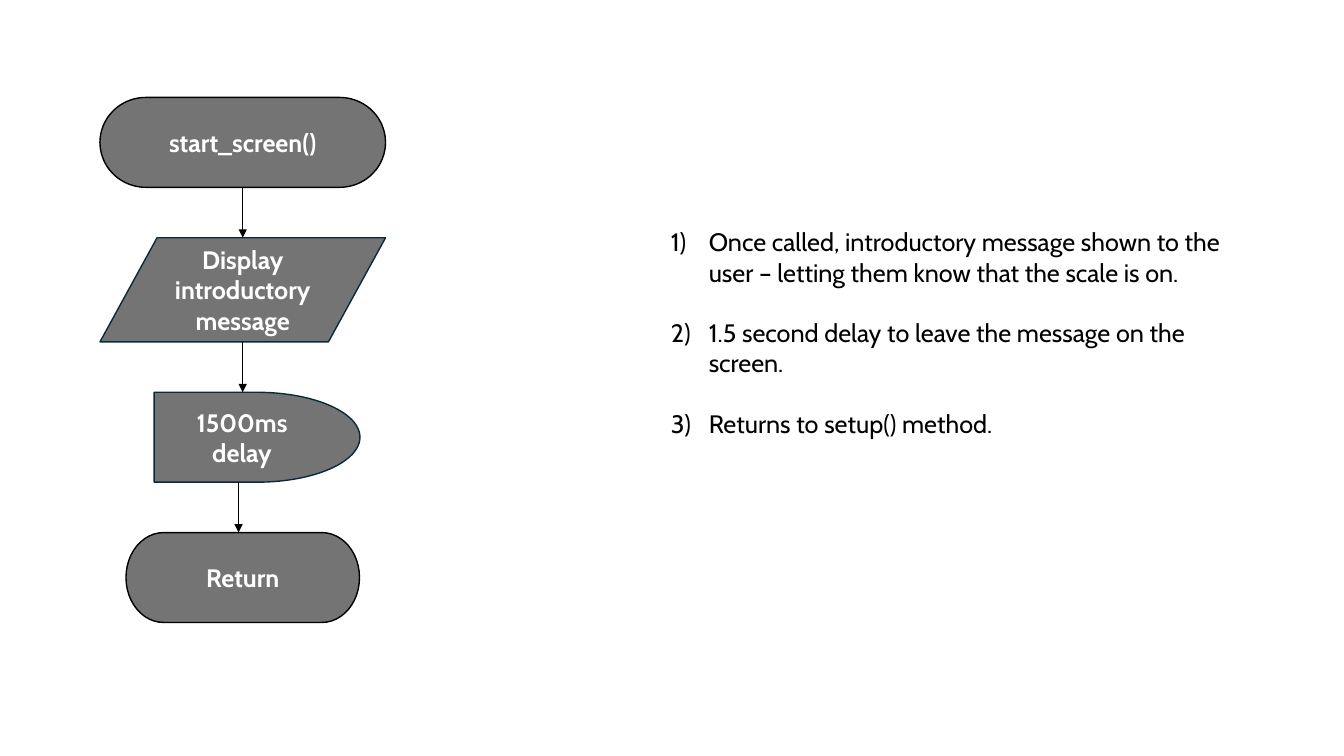
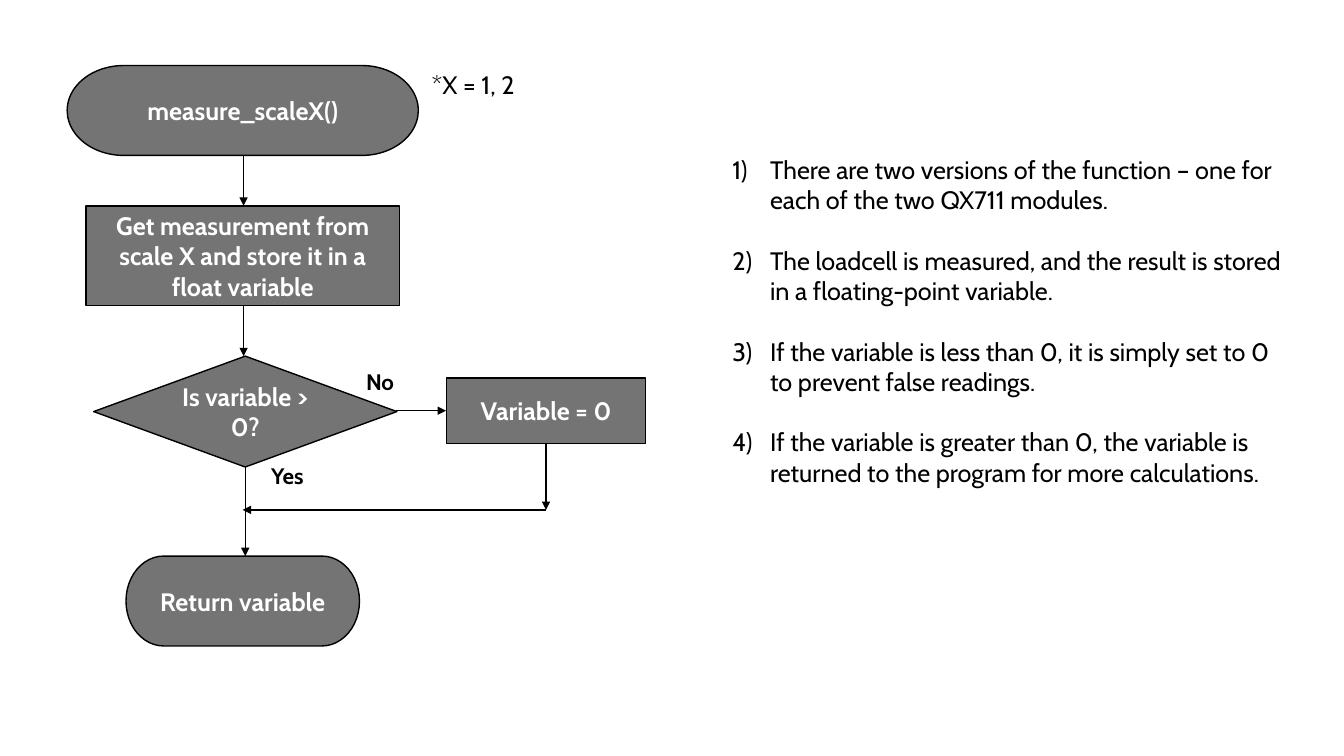
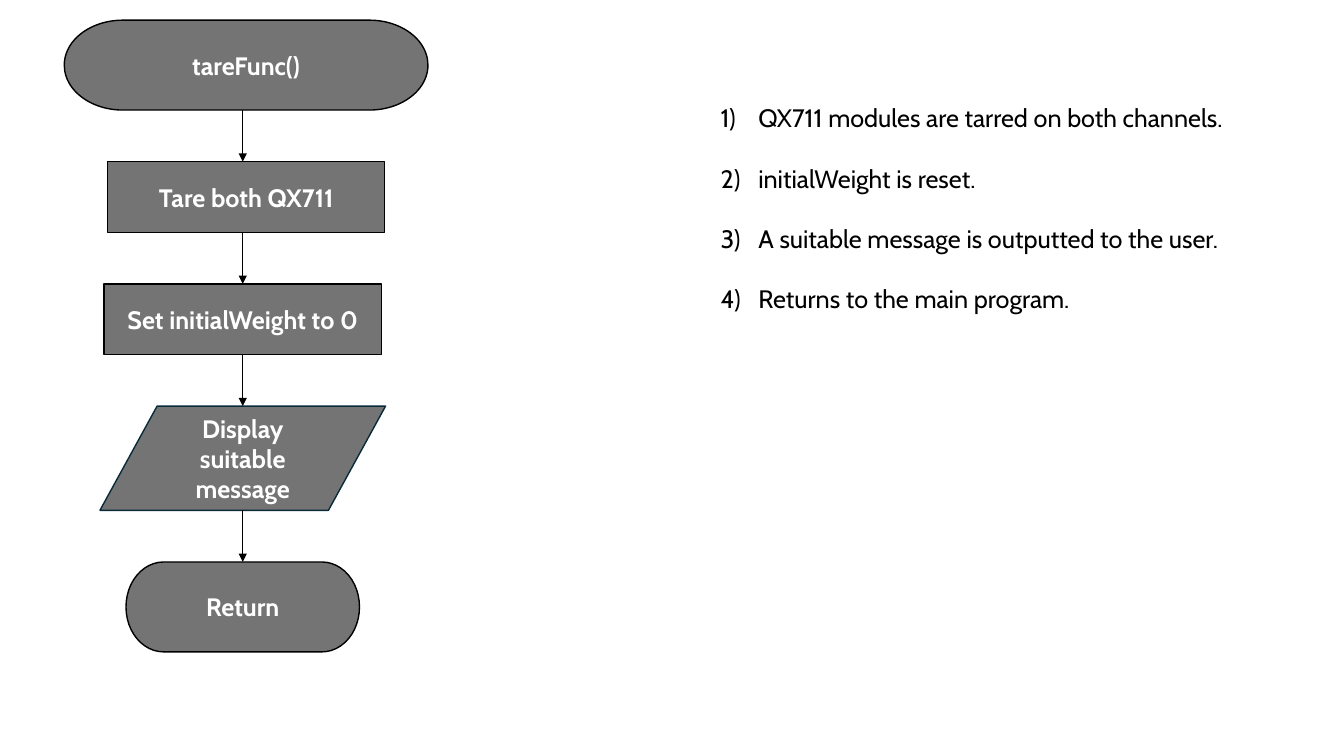
"""Build three flowchart slides with numbered notes on a 160 by 90 grid."""
import dataclasses
import itertools

import lxml.etree
import pptx
import pptx.dml.color
import pptx.enum.shapes
import pptx.enum.text
import pptx.oxml.ns
import pptx.slide
import pptx.text.text
import pptx.util

KIND = pptx.enum.shapes.MSO_SHAPE
ALIGN = pptx.enum.text.PP_ALIGN
WIDE, HIGH = pptx.util.Inches(13.33), pptx.util.Inches(7.5)
COLS, ROWS = 160, 90
FACE = "Cabin"
GREY, BLACK, WHITE, NAVY = "747474", "000000", "FFFFFF", "092A39"
AXIS = 28.9
HANG = 4.5
ROW = 10.7


@dataclasses.dataclass(frozen=True)
class Step:
    """One flowchart box, centred on mid, with its way out below."""
    kind: KIND
    text: str
    wide: float
    high: float = ROW
    mid: float = AXIS
    out: float = AXIS
    edge: str = BLACK
    gap: float = 0


@dataclasses.dataclass(frozen=True)
class Label:
    """A short text beside the chart."""
    text: str
    left: float
    top: float
    wide: float
    size: int = 16
    bold: bool = True


@dataclasses.dataclass(frozen=True)
class Arrow:
    """A straight arrow between two grid points."""
    x: float
    y: float
    to_x: float
    to_y: float


@dataclasses.dataclass(frozen=True)
class Page:
    """A column of steps and the notes that explain it."""
    top: float
    gap: float
    steps: tuple[Step, ...]
    left: float
    head: float
    notes: tuple[str, ...]
    sides: tuple[tuple[Step, float], ...] = ()
    links: tuple[Arrow, ...] = ()
    labels: tuple[Label, ...] = ()


PAGES = (
    Page(11.6, 6, (
        Step(KIND.FLOWCHART_TERMINATOR, "start_screen()", 34),
        Step(KIND.FLOWCHART_DATA, "Display introductory message", 34, 12.4,
             edge=NAVY),
        Step(KIND.FLOWCHART_DELAY, "1500ms delay", 24.5, mid=30.6, out=28.4,
             edge=NAVY),
        Step(KIND.FLOWCHART_TERMINATOR, "Return", 27.8),
    ), 78.7, 26.4, (
        "Once called, introductory message shown to the user – letting them "
        "know that the scale is on.",
        "1.5 second delay to leave the message on the screen.",
        "Returns to setup() method.",
    )),
    Page(7.8, 6, (
        Step(KIND.FLOWCHART_TERMINATOR, "measure_scaleX()", 41.8, out=29),
        Step(KIND.RECTANGLE, "Get measurement from scale X and store it in a "
             "float variable", 37.3, 11.9, out=29),
        Step(KIND.FLOWCHART_DECISION, "Is variable > 0?", 36.1, 13.2, 29.2,
             29.2, gap=10.6),
        Step(KIND.FLOWCHART_TERMINATOR, "Return variable", 27.8),
    ), 86, 17.8, (
        "There are two versions of the function – one for each of the two "
        "QX711 modules.",
        "The loadcell is measured, and the result is stored in a "
        "floating-point variable.",
        "If the variable is less than 0, it is simply set to 0 to prevent "
        "false readings.",
        "If the variable is greater than 0, the variable is returned to the "
        "program for more calculations.",
    ), sides=(
        (Step(KIND.RECTANGLE, "Variable = 0", 23.7, 7.8, 65), 45),
    ), links=(
        Arrow(47.2, 48.9, 53.1, 48.9),
        Arrow(65, 52.8, 65, 60.7),
        Arrow(65, 60.7, AXIS, 60.7),
    ), labels=(
        Label("Yes", 31.1, 54.4, 8),
        Label("No", 42.4, 43.2, 8.3),
        Label("*X = 1, 2", 50.2, 7.6, 13.7, 18, False),
    )),
    Page(2.4, 6.15, (
        Step(KIND.FLOWCHART_TERMINATOR, "tareFunc()", 43.3, mid=29.3),
        Step(KIND.RECTANGLE, "Tare both QX711", 33, 8.4, 29.3),
        Step(KIND.RECTANGLE, "Set initialWeight to 0", 33, 8.4),
        Step(KIND.FLOWCHART_DATA, "Display suitable message", 34, 12.4,
             edge=NAVY),
        Step(KIND.FLOWCHART_TERMINATOR, "Return", 27.8),
    ), 84.6, 11.6, (
        "QX711 modules are tarred on both channels.",
        "initialWeight is reset.",
        "A suitable message is outputted to the user.",
        "Returns to the main program.",
    )),
)


def across(cols: float) -> int:
    return round(WIDE * cols / COLS)


def down(rows: float) -> int:
    return round(HIGH * rows / ROWS)


def hue(code: str) -> pptx.dml.color.RGBColor:
    return pptx.dml.color.RGBColor.from_string(code)


def write(para: pptx.text.text._Paragraph, text: str, ink: str = BLACK,
          size: int = 18, bold: bool = False) -> None:
    run = para.add_run()
    run.text = text
    run.font.name = FACE
    run.font.size = pptx.util.Pt(size)
    run.font.bold = bold
    run.font.color.rgb = hue(ink)


def draw_step(slide: pptx.slide.Slide, step: Step, top: float) -> None:
    shape = slide.shapes.add_shape(
        step.kind, across(step.mid - step.wide / 2), down(top),
        across(step.wide), down(step.high))
    shape.shadow.inherit = False
    shape.fill.solid()
    shape.fill.fore_color.rgb = hue(GREY)
    shape.line.color.rgb = hue(step.edge)
    shape.line.width = pptx.util.Pt(1)
    frame = shape.text_frame
    frame.vertical_anchor = pptx.enum.text.MSO_ANCHOR.MIDDLE
    para = frame.paragraphs[0]
    para.alignment = ALIGN.CENTER
    write(para, step.text, WHITE, bold=True)


def draw_arrow(slide: pptx.slide.Slide, arrow: Arrow) -> None:
    link = slide.shapes.add_connector(
        pptx.enum.shapes.MSO_CONNECTOR.STRAIGHT, across(arrow.x),
        down(arrow.y), across(arrow.to_x), down(arrow.to_y))
    link.line.color.rgb = hue(BLACK)
    link.line.width = pptx.util.Pt(1)
    name = pptx.oxml.ns.qn
    props = link._element.spPr
    lxml.etree.SubElement(props.find(name("a:ln")), name("a:tailEnd"),
                          type="triangle")
    lxml.etree.SubElement(props, name("a:effectLst"))


def add_frame(slide: pptx.slide.Slide, left: float, top: float, wide: float,
              high: float) -> pptx.text.text.TextFrame:
    frame = slide.shapes.add_textbox(
        across(left), down(top), across(wide), down(high)).text_frame
    frame.word_wrap = True
    frame.auto_size = pptx.enum.text.MSO_AUTO_SIZE.SHAPE_TO_FIT_TEXT
    return frame


def draw_notes(slide: pptx.slide.Slide, page: Page) -> None:
    frame = add_frame(slide, page.left, page.head, 69.4, 26.6)
    for rank, note in enumerate(page.notes):
        para = frame.add_paragraph() if rank else frame.paragraphs[0]
        if rank:
            para.space_before = pptx.util.Pt(21.6)
        props = para._p.get_or_add_pPr()
        props.set("marL", str(across(HANG)))
        props.set("indent", str(-across(HANG)))
        lxml.etree.SubElement(props, pptx.oxml.ns.qn("a:buAutoNum"),
                              type="arabicParenR")
        write(para, note)


def draw_page(slide: pptx.slide.Slide, page: Page) -> None:
    tops = list(itertools.accumulate(
        (step.high + (step.gap or page.gap) for step in page.steps),
        initial=page.top))
    for step, top in [*zip(page.steps, tops), *page.sides]:
        draw_step(slide, step, top)
    for step, top, below in zip(page.steps[:-1], tops, tops[1:]):
        draw_arrow(slide, Arrow(step.out, top + step.high, step.out, below))
    for link in page.links:
        draw_arrow(slide, link)
    for label in page.labels:
        frame = add_frame(slide, label.left, label.top, label.wide, 4.5)
        write(frame.paragraphs[0], label.text, size=label.size,
              bold=label.bold)
    draw_notes(slide, page)


def main() -> None:
    deck = pptx.Presentation()
    deck.slide_width, deck.slide_height = WIDE, HIGH
    for page in PAGES:
        draw_page(deck.slides.add_slide(deck.slide_layouts[6]), page)
    deck.save("out.pptx")


if __name__ == "__main__":
    main()
